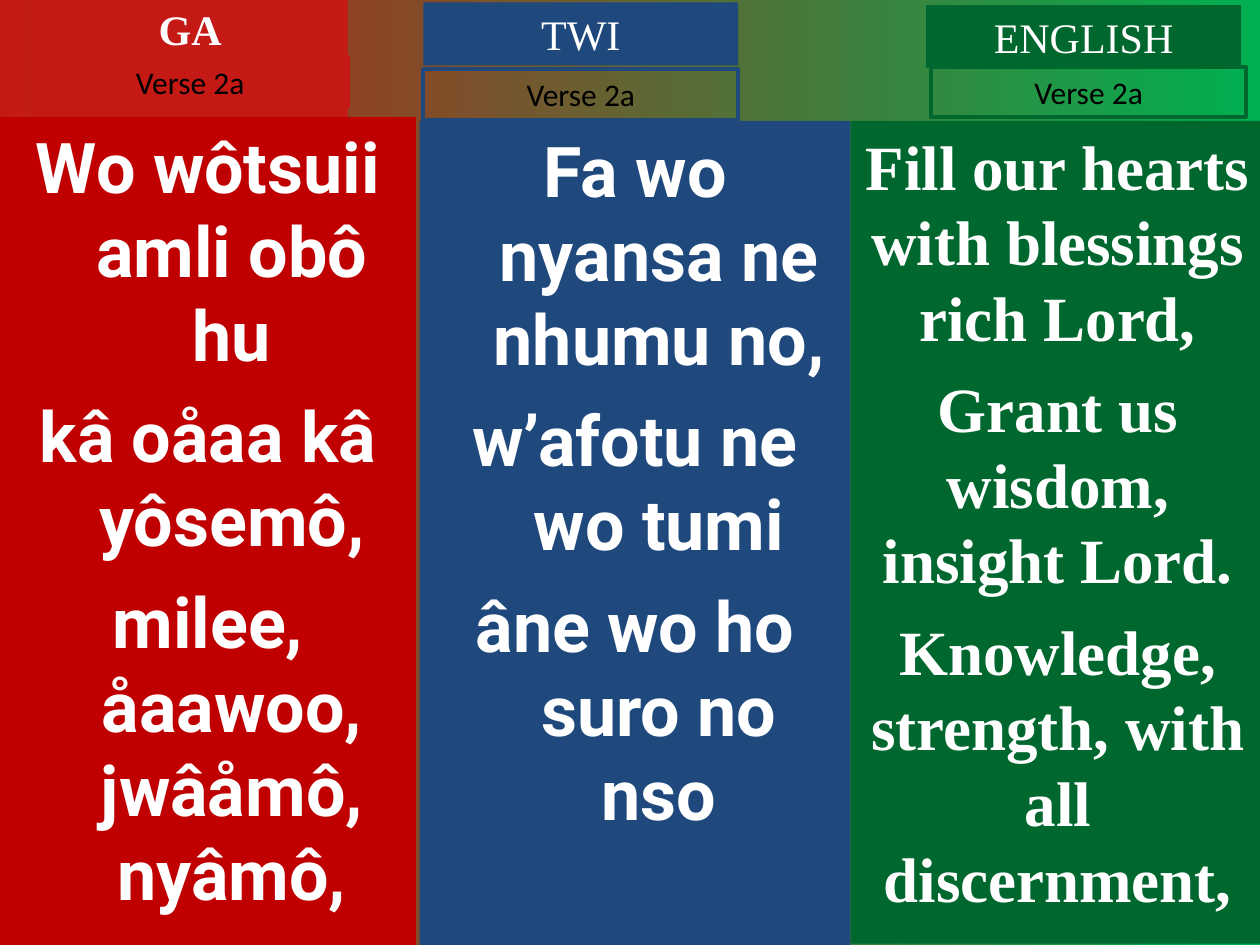
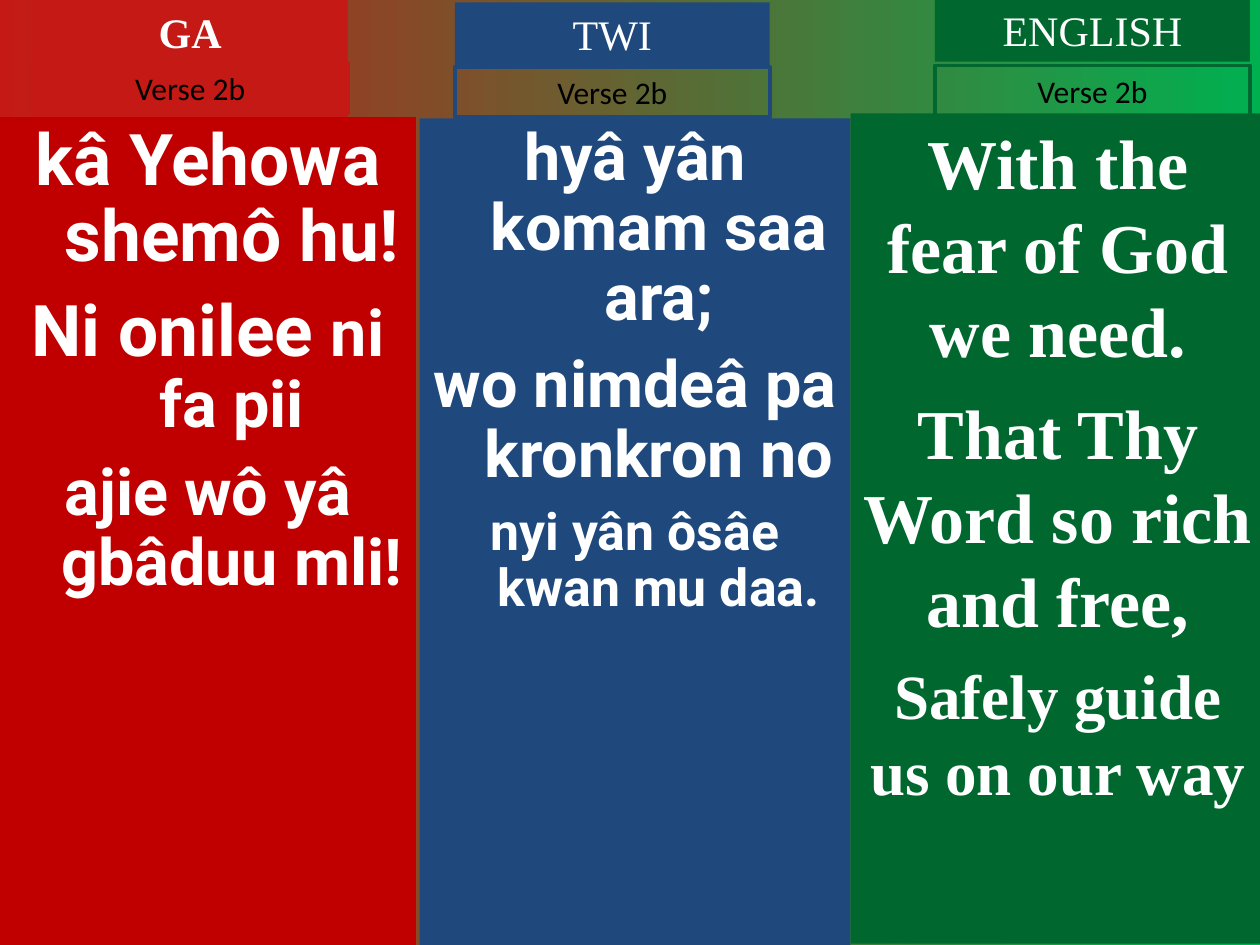
from math import ceil

from lxml.etree import SubElement
from pptx import Presentation
from pptx.dml.color import RGBColor
from pptx.enum.shapes import MSO_SHAPE
from pptx.enum.text import MSO_ANCHOR, MSO_AUTO_SIZE, PP_ALIGN
from pptx.oxml.ns import qn
from pptx.util import Inches, Pt

# Colours
WHITE = RGBColor(0xFF, 0xFF, 0xFF)
BLACK = RGBColor(0x00, 0x00, 0x00)
ROSE = RGBColor(0xC5, 0x19, 0x15)
LIME = RGBColor(0x00, 0xB0, 0x50)
RED = RGBColor(0xC0, 0x00, 0x00)
BLUE = RGBColor(0x1F, 0x49, 0x7D)
GREEN = RGBColor(0x00, 0x68, 0x2F)

# Shared text formats
SERIF = "Times New Roman"
HEAD = dict(name=SERIF, size=Pt(24), bold=False, color=WHITE)
TAG = dict(name="Calibri", size=Pt(18), bold=False, color=BLACK)
BODY = dict(bold=True, color=WHITE)

# Grid of 100 columns by 75 rows
COLS, ROWS = 100, 75
HANG = Inches(0.38)

# Each tongue: panel column, width and last row, fills, font, hanging indent
TONGUES = {
    "GA": dict(col=0, wide=33, last=75, fill=RED, head=ROSE, font="Roboto", hang=True),
    "TWI": dict(col=33.3, wide=34.2, last=75, fill=BLUE, head=BLUE, font="Roboto", hang=True),
    "ENGLISH": dict(col=67.5, wide=32.9, last=74.9, fill=GREEN, head=GREEN, font=SERIF,
                    hang=False),
}

# Each verse: panel top, head and tag corners, line spacing,
# and lines as lists of (text, size) runs
VERSES = {
    "Verse 2a": {
        "GA": dict(top=9.3, head=(2.6, -0.2), tag=(2.6, 4.5), space=1, lines=[
            [("Wo wôtsuii amli obô hu", 40)],
            [("kâ oåaa kâ yôsemô,", 40)],
            [("milee, åaawoo, jwâåmô, nyâmô,", 40)]]),
        "TWI": dict(top=9.6, head=(33.6, 0.2), tag=(33.6, 5.5), space=1, lines=[
            [("Fa wo nyansa ne nhumu no,", 40)],
            [("w’afotu ne wo tumi", 40)],
            [("âne wo ho suro no nso", 40)]]),
        "ENGLISH": dict(top=9.6, head=(73.5, 0.4), tag=(73.9, 5.3), space=1, lines=[
            [("Fill our hearts with blessings rich Lord,", 36)],
            [("Grant us wisdom, insight Lord.", 36)],
            [("Knowledge, strength, with all discernment,", 36)]]),
    },
    "Verse 2b": {
        "GA": dict(top=9.3, head=(2.6, 0), tag=(2.6, 5), space=0.9, lines=[
            [("kâ Yehowa shemô hu!", 40.7)],
            [("Ni onilee ", 40.7), ("ni fa pii", 37)],
            [("ajie wô yâ gbâduu mli!", 37)]]),
        "TWI": dict(top=9.4, head=(36.1, 0.2), tag=(36.1, 5.3), space=0.9, lines=[
            [("hyâ yân komam saa ara;", 37)],
            [("wo nimdeâ pa kronkron no", 37)],
            [("nyi yân ôsâe kwan mu daa.", 29.6)]]),
        "ENGLISH": dict(top=9, head=(74.2, -0.1), tag=(74.2, 5.2), space=1, lines=[
            [("With the fear of God we need.", 40)],
            [("That Thy Word so rich and free,", 40)],
            [("Safely guide us on our way", 36)]]),
    },
}


class Deck:
    def __init__(self):
        self.prs = Presentation()
        self.prs.slide_width, self.prs.slide_height = Inches(10), Inches(7.5)
        self.slide = None

    def start(self):
        """Add a two-content slide on the red to green backdrop."""
        self.slide = self.prs.slides.add_slide(self.prs.slide_layouts[3])
        fill = self.slide.background.fill
        fill.gradient()
        fill.gradient_angle = 0
        for stop, color, place in zip(fill.gradient_stops, (ROSE, LIME), (0, 1)):
            stop.color.rgb = color
            stop.position = place

    def box(self, col, row, wide, high, fill=None, line=None, holder=None):
        """Place a rectangle, or move a placeholder, on the grid."""
        x, y = self.prs.slide_width / COLS, self.prs.slide_height / ROWS
        area = [int(n) for n in (col * x, row * y, wide * x, high * y)]
        if holder is None:
            shape = self.slide.shapes.add_shape(MSO_SHAPE.RECTANGLE, *area)
            shape.shadow.inherit = False
        else:
            shape = self.slide.placeholders[holder]
            for key, size in zip(("left", "top", "width", "height"), area):
                setattr(shape, key, size)
        if fill is None:
            shape.fill.background()
        else:
            shape.fill.solid()
            shape.fill.fore_color.rgb = fill
        if line is None:
            shape.line.fill.background()
        else:
            shape.line.color.rgb = line
            shape.line.width = Pt(2.25)
        return shape

    def put(self, shape, lines, look, fit=MSO_AUTO_SIZE.NONE, hang=False, space=1):
        """Fill a shape with centred lines of (text, size) runs."""
        frame = shape.text_frame
        form = dict(word_wrap=True, auto_size=fit, vertical_anchor=MSO_ANCHOR.TOP,
                    margin_left=Inches(0.1), margin_right=Inches(0.1),
                    margin_top=Inches(0.05), margin_bottom=Inches(0.05))
        for key, value in form.items():
            setattr(frame, key, value)
        for i, runs in enumerate(lines):
            para = frame.paragraphs[0] if i == 0 else frame.add_paragraph()
            props = para._p.get_or_add_pPr()
            props.set("marL", str(HANG if hang else 0))
            props.set("indent", str(-HANG if hang else 0))
            SubElement(props, qn("a:buNone"))
            para.alignment = PP_ALIGN.CENTER
            para.line_spacing = space
            para.space_before = Pt(ceil(runs[-1][1] / 4) if i else 0)
            for text, size in runs:
                run = para.add_run()
                run.text = text
                self.style(run.font, {**look, "size": Pt(size)})

    def style(self, font, look):
        for key, value in look.items():
            if key == "color":
                font.color.rgb = value
            else:
                setattr(font, key, value)

    def panel(self, tongue, verse, holder):
        shape = self.box(tongue["col"], verse["top"], tongue["wide"],
                         tongue["last"] - verse["top"], tongue["fill"], holder=holder)
        self.put(shape, verse["lines"], {**BODY, "name": tongue["font"]},
                 hang=tongue["hang"], space=verse["space"])

    def label(self, text, spot, high, look, **paint):
        shape = self.box(*spot, 25, high, **paint)
        self.put(shape, [[(text, look["size"].pt)]], look,
                 fit=MSO_AUTO_SIZE.SHAPE_TO_FIT_TEXT)


def main():
    deck = Deck()
    # The title holds the first head; the two bodies hold the first two panels
    heads = {"GA": 0}
    bodies = {"GA": 1, "TWI": 2}
    for title, parts in VERSES.items():
        deck.start()
        for name, verse in parts.items():
            tongue = TONGUES[name]
            deck.panel(tongue, verse, bodies.get(name))
            deck.label(name, verse["head"], 5, {**HEAD, "bold": name == "GA"},
                       fill=tongue["head"], holder=heads.get(name))
            deck.label(title, verse["tag"], 4, TAG, line=tongue["head"])
    deck.prs.save("out.pptx")


if __name__ == "__main__":
    main()
